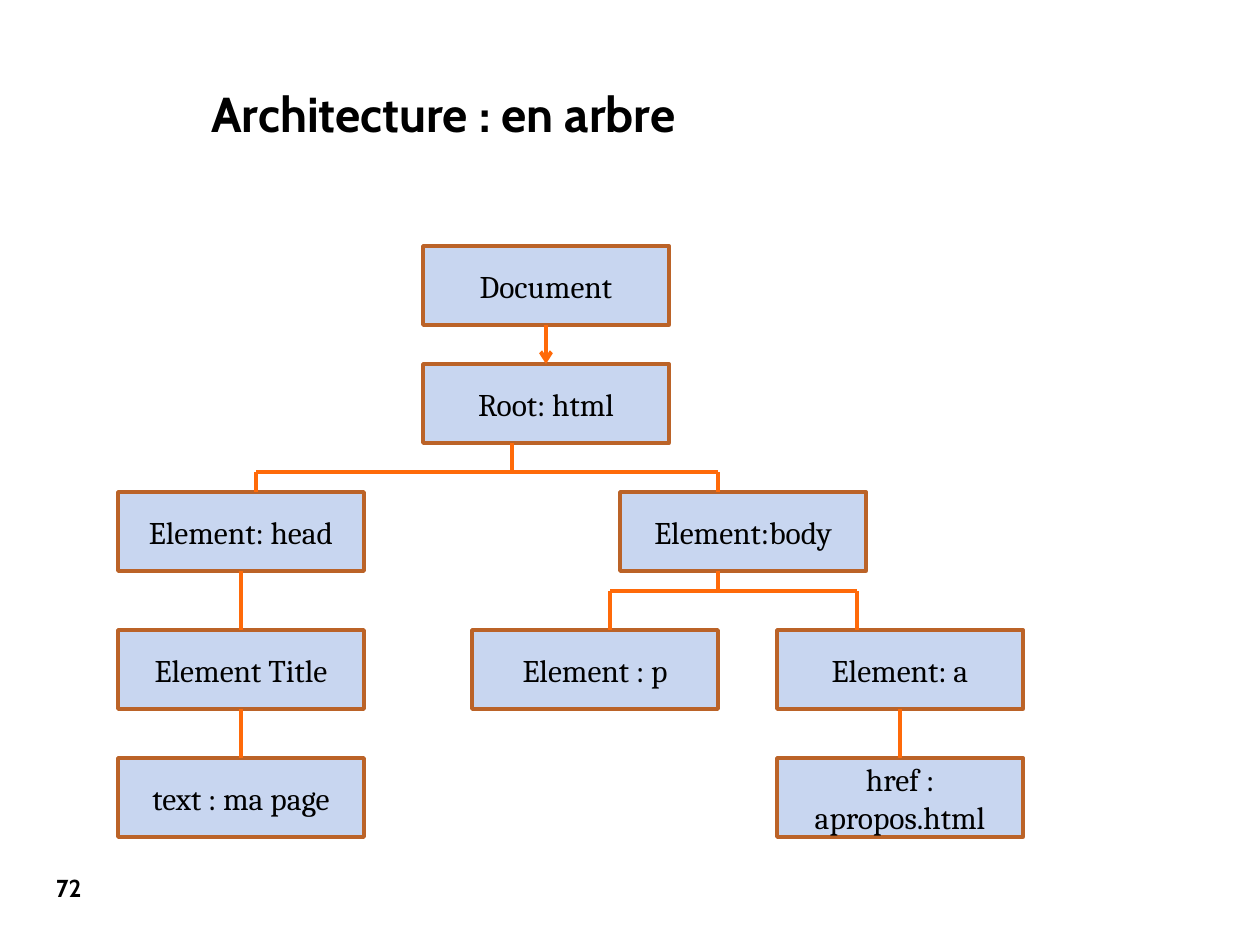
from dataclasses import dataclass

from lxml.etree import SubElement
from pptx import Presentation
from pptx.dml.color import RGBColor
from pptx.enum.shapes import MSO_CONNECTOR as Connector, MSO_SHAPE as Shape
from pptx.enum.text import MSO_ANCHOR as Anchor, PP_ALIGN as Align
from pptx.oxml.ns import qn
from pptx.util import Emu, Pt

EMU_PER_PX = 914400 / 126
BOX_W, BOX_H = 246, 79
BOTTOM, TOP = 2, 0  # connection sites of a rectangle


@dataclass(frozen=True)
class Theme:
    text: RGBColor = RGBColor(0x00, 0x00, 0x00)
    box_fill: RGBColor = RGBColor(0xC8, 0xD6, 0xF0)
    box_line: RGBColor = RGBColor(0xBB, 0x63, 0x28)
    link: RGBColor = RGBColor(0xFF, 0x6A, 0x09)
    heading_font: str = "Cabin"
    body_font: str = "Cambria"
    title_size: Pt = Pt(28)
    number_size: Pt = Pt(14)
    box_size: Pt = Pt(18)
    box_line_width: Pt = Pt(2)
    link_width: Pt = Pt(2.25)


THEME = Theme()

# Name: (label, left, top)
NODES = {
    "document": ("Document", 423, 246),
    "root": ("Root: html", 423, 364),
    "head": ("Element: head", 118, 492),
    "body": ("Element:body", 620, 492),
    "title": ("Element Title", 118, 630),
    "p": ("Element : p", 472, 630),
    "a": ("Element: a", 777, 630),
    "text": ("text : ma page", 118, 758),
    "href": ("href : apropos.html", 777, 758),
}

# Parent, child, arrowhead
LINKS = [
    ("document", "root", True),
    ("head", "title", False),
    ("title", "text", False),
    ("a", "href", False),
]

# Trunk x, parent bottom, bar y, child top, branch xs
FORKS = [
    (512, 443, 472, 492, (256, 718)),
    (718, 571, 591, 630, (610, 857)),
]


def px(n):
    return Emu(round(n * EMU_PER_PX))


def set_text(sp, text, font, size, bold=False, align=Align.CENTER,
             anchor=Anchor.MIDDLE):
    tf = sp.text_frame
    tf.word_wrap = True
    tf.vertical_anchor = anchor
    p = tf.paragraphs[0]
    p.text = text
    p.alignment = align
    p.font.name = font
    p.font.size = size
    p.font.bold = bold
    p.font.color.rgb = THEME.text


def add_heading(slide, text, box, size, **layout):
    sp = slide.shapes.add_textbox(*map(px, box))
    set_text(sp, text, THEME.heading_font, size, bold=True, **layout)


def add_node(slide, label, left, top):
    sp = slide.shapes.add_shape(
        Shape.RECTANGLE, px(left), px(top), px(BOX_W), px(BOX_H))
    sp.shadow.inherit = False
    sp.fill.solid()
    sp.fill.fore_color.rgb = THEME.box_fill
    sp.line.color.rgb = THEME.box_line
    sp.line.width = THEME.box_line_width
    set_text(sp, label, THEME.body_font, THEME.box_size)
    return sp


def add_line(slide, x1, y1, x2, y2):
    line = slide.shapes.add_connector(
        Connector.STRAIGHT, px(x1), px(y1), px(x2), px(y2))
    line.line.color.rgb = THEME.link
    line.line.width = THEME.link_width
    SubElement(line._element.spPr, qn("a:effectLst"))
    return line


def add_link(slide, parent, child, arrow):
    line = add_line(slide, 0, 0, 0, 0)
    line.begin_connect(parent, BOTTOM)
    line.end_connect(child, TOP)
    if arrow:
        SubElement(line.line._get_or_add_ln(), qn("a:tailEnd"), type="arrow")


def add_fork(slide, trunk, parent_bottom, bar, child_top, branches):
    add_line(slide, trunk, parent_bottom, trunk, bar)
    for x in branches:
        add_line(slide, trunk, bar, x, bar)
        add_line(slide, x, bar, x, child_top)


def main():
    prs = Presentation()
    prs.slide_width, prs.slide_height = px(1260), px(945)
    slide = prs.slides.add_slide(prs.slide_layouts[6])

    # Title and page number
    add_heading(slide, "Architecture : en arbre", (199, 16, 983, 132),
                THEME.title_size, align=Align.LEFT, anchor=Anchor.BOTTOM)
    add_heading(slide, "72", (20, 856, 98, 63), THEME.number_size)

    # Tree nodes
    nodes = {name: add_node(slide, *node) for name, node in NODES.items()}

    # Links between nodes
    for parent, child, arrow in LINKS:
        add_link(slide, nodes[parent], nodes[child], arrow)
    for fork in FORKS:
        add_fork(slide, *fork)

    prs.save("out.pptx")


if __name__ == "__main__":
    main()
